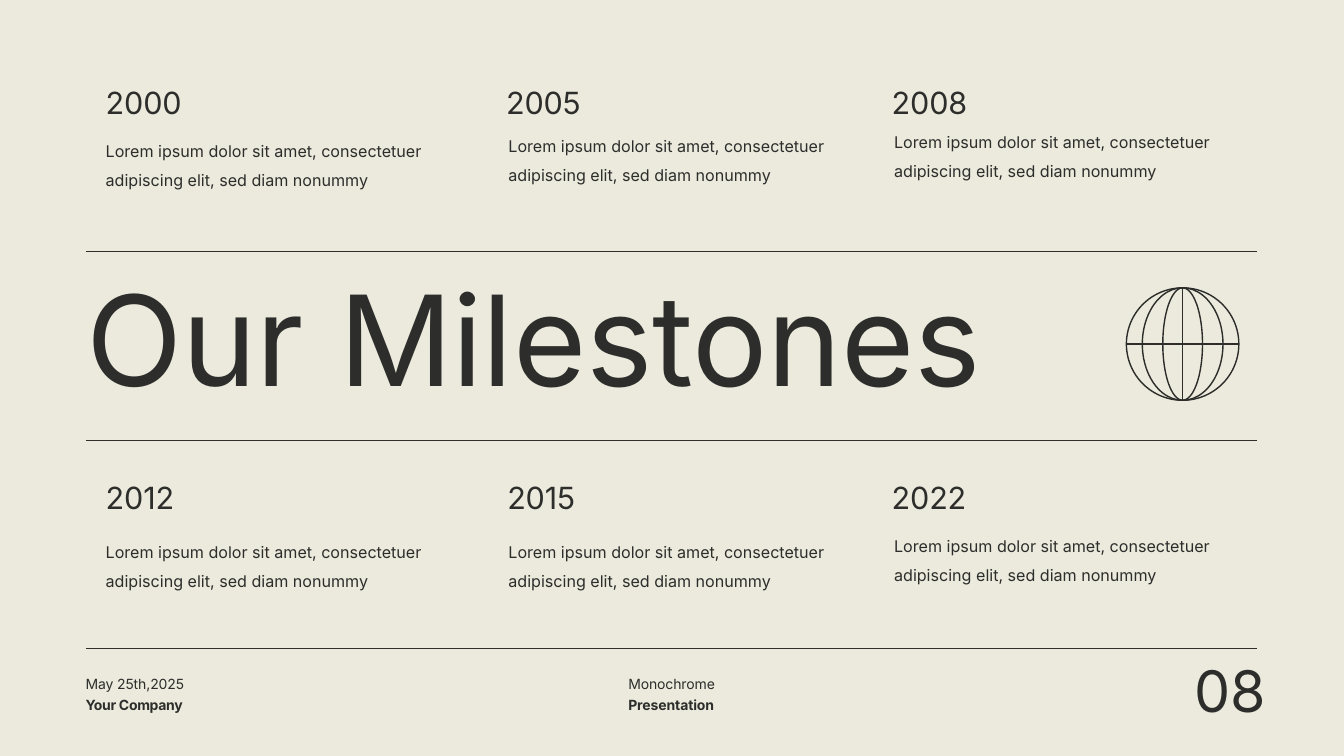
from lxml.etree import SubElement
from pptx import Presentation
from pptx.dml.color import RGBColor
from pptx.enum.shapes import MSO_CONNECTOR, MSO_SHAPE
from pptx.enum.text import MSO_ANCHOR, MSO_AUTO_SIZE, PP_ALIGN
from pptx.oxml.ns import qn
from pptx.util import Inches, Pt

INK = RGBColor(0x2D, 0x2D, 0x2C)
PAPER = RGBColor(0xEB, 0xEA, 0xDC)
FONT = "Inter"

TITLE = "Our Milestones"
BLURB = "Lorem ipsum dolor sit amet, consectetuer adipiscing elit, sed diam nonummy"
# Each milestone: year, year left, year top, blurb left, blurb top
MILESTONES = [
    ("2000", 1.72, 1.36, 1.72, 2.13),
    ("2005", 8.27, 1.36, 8.31, 2.06),
    ("2008", 14.58, 1.36, 14.62, 1.99),
    ("2012", 1.72, 7.82, 1.72, 8.69),
    ("2015", 8.29, 7.82, 8.31, 8.69),
    ("2022", 14.58, 7.82, 14.62, 8.59),
]
FOOTERS = [
    (1.39, 2.77, "May 25th,2025", "Your Company", -0.35),
    (10.27, 2.14, "Monochrome", "Presentation", -0.1),
]
PAGE = "08"
RULE_LEFT, RULE_RIGHT = 1.41, 20.57
RULE_TOPS = [4.11, 7.21, 10.61]
GLOBE_X, GLOBE_Y, GLOBE_SIZE = 19.35, 5.63, 1.84
MERIDIAN_WIDTHS = [1.84, 1.32, 0.65]


def write(sp, text, left, top, width, height, size, bold=False, spacing=0.0,
          line_spacing=1.0, inset=0.02):
    """Place a text shape and fill it with one formatted paragraph."""
    sp.left, sp.top = Inches(left), Inches(top)
    sp.width, sp.height = Inches(width), Inches(height)
    tf = sp.text_frame
    tf.word_wrap = True
    tf.auto_size = MSO_AUTO_SIZE.NONE
    tf.vertical_anchor = MSO_ANCHOR.TOP
    tf.margin_left = Inches(0.01)
    tf.margin_right = tf.margin_bottom = 0
    tf.margin_top = Inches(inset)
    p = tf.paragraphs[0]
    p.alignment = PP_ALIGN.LEFT
    p.line_spacing = line_spacing
    r = p.add_run()
    r.text = text
    r.font.name = FONT
    r.font.size = Pt(size)
    r.font.bold = bold
    r.font.color.rgb = INK
    r._r.get_or_add_rPr().set("spc", str(round(spacing * 100)))


def add_text(shapes, text, *box, **fmt):
    """Add a text box with one formatted paragraph."""
    write(shapes.add_textbox(0, 0, 0, 0), text, *box, **fmt)


def add_line(shapes, x1, y1, x2, y2, weight):
    """Draw a straight ink line without a shadow."""
    line = shapes.add_connector(MSO_CONNECTOR.STRAIGHT, Inches(x1), Inches(y1),
                                Inches(x2), Inches(y2))
    line.line.color.rgb = INK
    line.line.width = Pt(weight)
    SubElement(line._element.spPr, qn("a:effectLst"))


def add_globe(shapes):
    """Draw the wireframe globe as one group."""
    globe = shapes.add_group_shape().shapes
    radius = GLOBE_SIZE / 2
    for width in MERIDIAN_WIDTHS:
        sp = globe.add_shape(MSO_SHAPE.OVAL, Inches(GLOBE_X - width / 2),
                             Inches(GLOBE_Y - radius), Inches(width), Inches(GLOBE_SIZE))
        sp.shadow.inherit = False
        sp.fill.background()
        sp.line.color.rgb = INK
        sp.line.width = Pt(1.65)
    add_line(globe, GLOBE_X - radius, GLOBE_Y, GLOBE_X + radius, GLOBE_Y, 1.65)
    add_line(globe, GLOBE_X, GLOBE_Y - radius, GLOBE_X, GLOBE_Y + radius, 1.65)


def main():
    """Build the milestones slide."""
    prs = Presentation()
    prs.slide_width, prs.slide_height = Inches(21.99), Inches(12.37)
    s = prs.slides.add_slide(prs.slide_layouts[5])
    s.background.fill.solid()
    s.background.fill.fore_color.rgb = PAPER

    write(s.shapes.title, TITLE, 1.41, 4.25, 17, 2.5, size=148, spacing=-0.1)
    add_globe(s.shapes)
    for top in RULE_TOPS:
        add_line(s.shapes, RULE_LEFT, top, RULE_RIGHT, top, 0.82)
    for year, year_left, year_top, left, top in MILESTONES:
        add_text(s.shapes, year, year_left, year_top, 3.52, 0.62, size=36, spacing=-0.2)
        add_text(s.shapes, BLURB, left, top, 5.2, 1.45, size=19, line_spacing=1.5)
    for left, width, first, second, spacing in FOOTERS:
        add_text(s.shapes, first, left, 11, width, 0.33, size=16.5, spacing=-0.1, inset=0.05)
        add_text(s.shapes, second, left, 11.35, width, 0.33, size=16.5, bold=True,
                 spacing=spacing, inset=0.05)
    add_text(s.shapes, PAGE, 19.53, 10.7, 1.96, 1.15, size=67.5, spacing=-0.2)
    prs.save("out.pptx")


if __name__ == "__main__":
    main()
